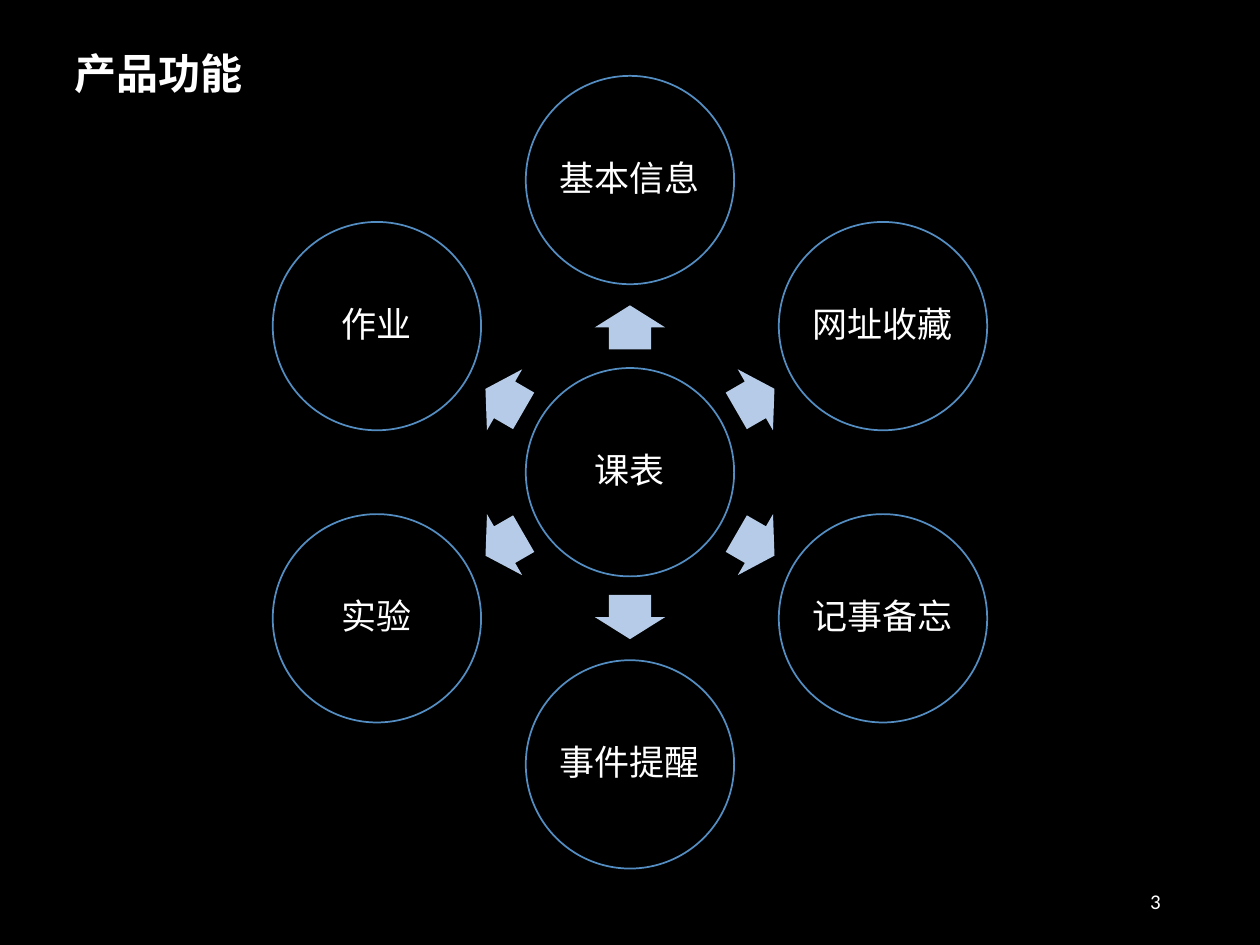
from math import cos, radians, sin

from pptx import Presentation
from pptx.dml.color import RGBColor
from pptx.enum.shapes import MSO_SHAPE
from pptx.enum.text import MSO_ANCHOR, PP_ALIGN
from pptx.util import Cm, Pt

CIRCLE, ARROW = MSO_SHAPE.OVAL, MSO_SHAPE.RIGHT_ARROW
MIDDLE = MSO_ANCHOR.MIDDLE
LEFT, CENTER, RIGHT = PP_ALIGN.LEFT, PP_ALIGN.CENTER, PP_ALIGN.RIGHT

TITLE = "产品功能"
PAGE_NUMBER = "3"
HUB = "课表"
FEATURES = ["基本信息", "网址收藏", "记事备忘", "事件提醒", "实验", "作业"]

COLORS = {"background": "000000", "text": "FFFFFF", "ring": "538DC1", "arrow": "B5CBE7"}
FONT = "Calibri"

HUB_X, HUB_Y = 12.7, 9.52
DIAMETER = 4.2
FEATURE_RADIUS = 5.89
ARROW_RADIUS = 2.92
ARROW_LENGTH, ARROW_WIDTH = 0.89, 1.42


def color(key):
    return RGBColor.from_string(COLORS[key])


def write(holder, text, size=20, bold=False, align=CENTER, inset=0.08, wrap=False, spacing=0.9):
    frame = holder.text_frame
    frame.word_wrap = wrap
    frame.vertical_anchor = MIDDLE
    frame.margin_left = frame.margin_right = Cm(inset)
    frame.margin_top = frame.margin_bottom = Cm(inset)
    paragraph = frame.paragraphs[0]
    paragraph.alignment = align
    paragraph.line_spacing = spacing
    run = paragraph.add_run()
    run.text = text
    run.font.name = FONT
    run.font.size = Pt(size)
    run.font.bold = bold
    run.font.color.rgb = color("text")


def add_centered(slide, kind, x, y, width, height, fill):
    shape = slide.shapes.add_shape(
        kind, Cm(x - width / 2), Cm(y - height / 2), Cm(width), Cm(height))
    shape.shadow.inherit = False
    shape.fill.solid()
    shape.fill.fore_color.rgb = color(fill)
    return shape


def add_circle(slide, label, x, y):
    circle = add_centered(slide, CIRCLE, x, y, DIAMETER, DIAMETER, "background")
    circle.line.color.rgb = color("ring")
    circle.line.width = Pt(1)
    write(circle, label)


def add_arrow(slide, x, y, angle):
    arrow = add_centered(slide, ARROW, x, y, ARROW_LENGTH, ARROW_WIDTH, "arrow")
    arrow.line.fill.background()
    arrow.adjustments[0] = 0.6
    arrow.adjustments[1] = 0.5
    arrow.rotation = angle


def around_hub(radius, angle):
    return HUB_X + radius * cos(radians(angle)), HUB_Y + radius * sin(radians(angle))


def main():
    deck = Presentation()
    deck.slide_width, deck.slide_height = Cm(25.4), Cm(19.05)
    slide = deck.slides.add_slide(deck.slide_layouts[6])
    slide.background.fill.solid()
    slide.background.fill.fore_color.rgb = color("background")

    title = slide.shapes.add_textbox(Cm(1.5), Cm(1.07), Cm(3.43), Cm(0.91))
    write(title, TITLE, size=24, bold=True, align=LEFT, inset=0)
    page_number = slide.shapes.add_textbox(Cm(17.93), Cm(17.65), Cm(5.72), Cm(1.02))
    write(page_number, PAGE_NUMBER, size=12, align=RIGHT, inset=0.25, wrap=True, spacing=1.0)

    add_circle(slide, HUB, HUB_X, HUB_Y)
    for index, feature in enumerate(FEATURES):
        angle = (270 + index * 360 / len(FEATURES)) % 360
        add_arrow(slide, *around_hub(ARROW_RADIUS, angle), angle)
        add_circle(slide, feature, *around_hub(FEATURE_RADIUS, angle))

    deck.save("out.pptx")


if __name__ == "__main__":
    main()
